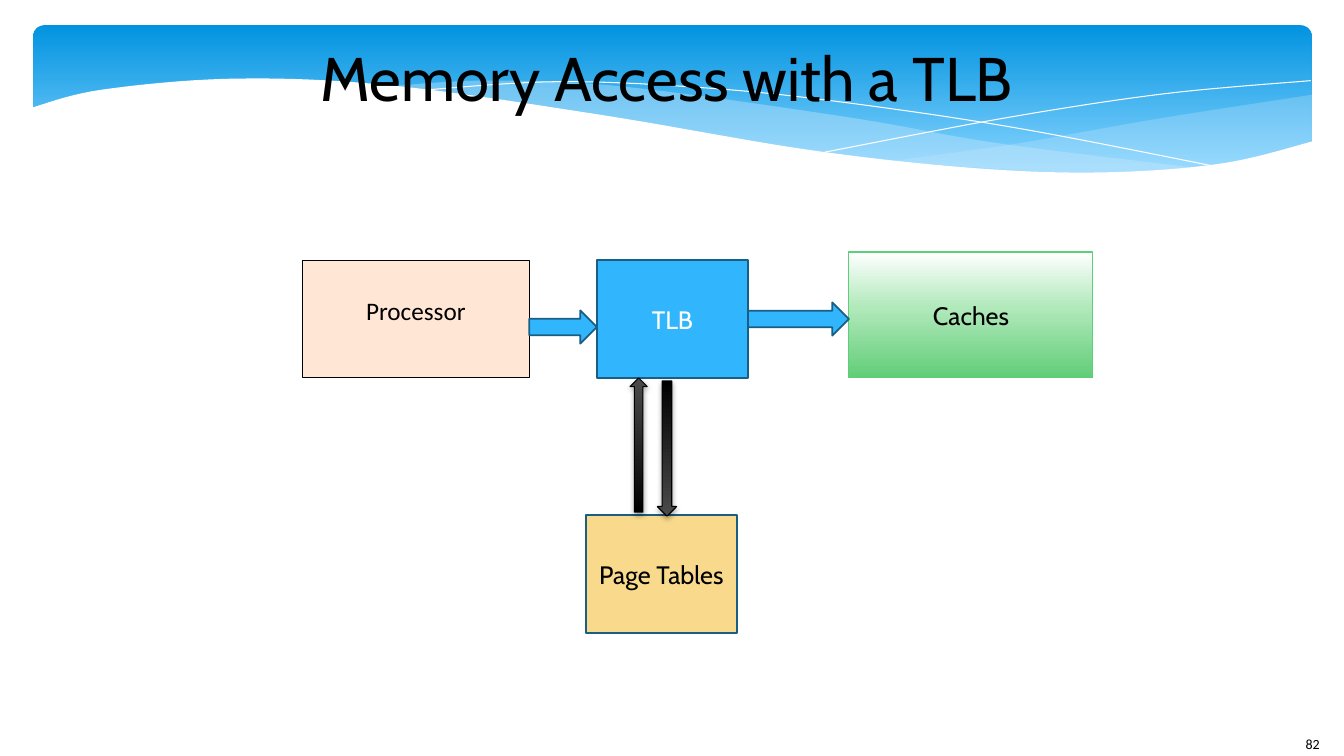
"""Build the slide that shows memory access with a TLB."""
from copy import deepcopy

from lxml.etree import SubElement
from pptx import Presentation
from pptx.dml.color import RGBColor
from pptx.enum.shapes import MSO_SHAPE as SHAPE
from pptx.enum.text import MSO_ANCHOR as ANCHOR, PP_ALIGN as ALIGN
from pptx.oxml.ns import qn
from pptx.util import Inches, Pt

BLACK = RGBColor(0x00, 0x00, 0x00)
WHITE = RGBColor(0xFF, 0xFF, 0xFF)
CHARCOAL = RGBColor(0x4B, 0x4B, 0x4B)
BANNER_BLUE = RGBColor(0x02, 0x93, 0xE0)
BANNER_SKY = RGBColor(0x83, 0xD3, 0xFE)
WAVE_PALE = RGBColor(0xC6, 0xE7, 0xFC)
BLUE = RGBColor(0x31, 0xB6, 0xFD)
NAVY = RGBColor(0x19, 0x5F, 0x84)
PEACH = RGBColor(0xFF, 0xE6, 0xD5)
SAND = RGBColor(0xF9, 0xD9, 0x8C)
MINT = RGBColor(0xB1, 0xE9, 0xBB)
GREEN = RGBColor(0x61, 0xCD, 0x78)
GREEN_EDGE = RGBColor(0x5B, 0xD0, 0x78)
STEPS_PER_SPAN = 10


def write_text(shape, text, size=18, font="Cabin", color=BLACK, align=ALIGN.CENTER,
               anchor=ANCHOR.MIDDLE, side=0.1, top=0.05):
    frame = shape.text_frame
    frame.word_wrap = True
    frame.vertical_anchor = anchor
    frame.margin_left = frame.margin_right = Inches(side)
    frame.margin_top, frame.margin_bottom = Inches(top), Inches(min(top, 0.05))
    paragraph = frame.paragraphs[0]
    paragraph.alignment = align
    run = paragraph.add_run()
    run.text = text
    run.font.size, run.font.name = Pt(size), font
    run.font.color.rgb = color


def paint(shape, colors, edge=None, width=0, positions=(0, 1)):
    shape.shadow.inherit = False
    if len(colors) == 1:
        shape.fill.solid()
        shape.fill.fore_color.rgb = colors[0]
    elif colors:
        shape.fill.gradient()
        shape.fill.gradient_angle = 270
        stop_list = next(shape._element.spPr.iter(qn("a:gsLst")))
        for _ in colors[2:]:
            stop_list.append(deepcopy(stop_list[-1]))
        for stop, color, position in zip(shape.fill.gradient_stops, colors, positions):
            stop.color.rgb, stop.position = color, position
    else:
        shape.fill.background()
    if edge is None:
        shape.line.fill.background()
    else:
        shape.line.color.rgb, shape.line.width = edge, Pt(width)


deck = Presentation()
deck.slide_width, deck.slide_height = Inches(13.33), Inches(7.5)
shapes = deck.slides.add_slide(deck.slide_layouts[6]).shapes

banner = shapes.add_shape(SHAPE.ROUNDED_RECTANGLE, Inches(0.33), Inches(0.25),
                          Inches(12.68), Inches(1.56))
banner.adjustments[0] = 0.071
paint(banner, [BANNER_BLUE, BANNER_SKY], positions=(0, 0.9))

right_wave = [
    [(8.82, 1.6), (10.05, 1.43), (11.47, 1.18), (13.01, 0.94)],
    [(13.01, 1.42), (12.18, 1.62), (10.85, 1.72), (8.82, 1.6)]]
middle_wave = [
    [(3.82, 0.86), (4.82, 0.8), (6.19, 0.86), (8.39, 1.16), (9.89, 1.42), (11.9, 1.67)],
    [(11.9, 1.67), (10.76, 1.73), (9.45, 1.66), (7.55, 1.43), (5.99, 1.16), (4.83, 0.97),
     (3.82, 0.86)]]
falling_line = [
    [(4.12, 0.9), (5.55, 0.81), (7.1, 0.88), (8.48, 1.03), (10.14, 1.28), (12.1, 1.66)]]
rising_line = [[(8.18, 1.51), (9.97, 1.17), (11.55, 0.93), (13, 0.8)]]
white_wave = [
    [(0.31, 1.07), (1.01, 0.89), (2.35, 0.78), (3.9, 0.85), (5.96, 1.14), (8.04, 1.49),
     (9.69, 1.67), (10.97, 1.71), (12.13, 1.62), (13.03, 1.4)],
    [(13.03, 2.24), (0.31, 2.24)]]

for edges, fills, opacity, line_color in [
        (right_wave, [WAVE_PALE], 29, None),
        (middle_wave, [WAVE_PALE], 40, None),
        (falling_line, [], 100, WHITE),
        (rising_line, [], 100, WHITE),
        (white_wave, [WHITE], 100, None)]:
    outline = []
    for knots in edges:
        padded = [knots[0], *knots, knots[-1]]
        for before, start, end, after in zip(padded, padded[1:], padded[2:], padded[3:]):
            for step in range(STEPS_PER_SPAN):
                t = step / STEPS_PER_SPAN
                outline.append([
                    Inches(b + ((c - a) * t + (2 * a - 5 * b + 4 * c - d) * t ** 2
                                + (3 * b - a - 3 * c + d) * t ** 3) / 2)
                    for a, b, c, d in zip(before, start, end, after)])
        outline.append([Inches(value) for value in knots[-1]])
    builder = shapes.build_freeform(*outline[0])
    builder.add_line_segments(outline[1:], close=bool(fills))
    wave = builder.convert_to_shape()
    paint(wave, fills, line_color)
    if opacity < 100:
        wave_color = next(wave._element.spPr.iter(qn("a:srgbClr")))
        SubElement(wave_color, qn("a:alpha"), val=str(opacity * 1000))

page_number = shapes.add_textbox(Inches(12.85), Inches(7.25), Inches(0.48), Inches(0.25))
write_text(page_number, "82", size=10, font="Calibri", align=ALIGN.LEFT, anchor=ANCHOR.TOP)
title = shapes.add_textbox(Inches(2.56), Inches(0.25), Inches(8.11), Inches(1.02))
write_text(title, "Memory Access with a TLB", size=44, side=0, top=0)

blocks = {}
for label, left, top, width, height, fills, stops, edge, edge_width, text_format in [
        ("Processor", 3, 2.58, 2.25, 1.17, [PEACH], (), BLACK, 0,
         dict(font="Calibri", anchor=ANCHOR.TOP, top=0.35)),
        ("TLB", 5.92, 2.58, 1.5, 1.17, [BLUE], (), NAVY, 1.25, dict(color=WHITE)),
        ("Caches", 8.42, 2.5, 2.42, 1.25, [WHITE, MINT, GREEN], (0, 0.44, 1),
         GREEN_EDGE, 0.75, {}),
        ("Page Tables", 5.81, 5.11, 1.5, 1.17, [SAND], (), NAVY, 1.25, {})]:
    block = shapes.add_shape(SHAPE.RECTANGLE, Inches(left), Inches(top),
                             Inches(width), Inches(height))
    paint(block, fills, edge, edge_width, stops)
    write_text(block, label, **text_format)
    blocks[label] = block

for sender, receiver, top in [("Processor", "TLB", 3.08), ("TLB", "Caches", 3)]:
    start = blocks[sender].left + blocks[sender].width
    request = shapes.add_shape(SHAPE.RIGHT_ARROW, start, Inches(top),
                               blocks[receiver].left - start, Inches(0.33))
    paint(request, [BLUE], NAVY, 1.25)

for direction, left, top, width, height, fills in [
        (SHAPE.UP_ARROW, 6.25, 3.75, 0.17, 1.33, [CHARCOAL, BLACK]),
        (SHAPE.DOWN_ARROW, 6.52, 3.78, 0.19, 1.34, [BLACK, CHARCOAL])]:
    lookup = shapes.add_shape(direction, Inches(left), Inches(top),
                              Inches(width), Inches(height))
    paint(lookup, fills, BLACK, 0.75)
    effects = lookup._element.spPr.find(qn("a:effectLst"))
    shadow = SubElement(effects, qn("a:outerShdw"), blurRad=str(Pt(4)), dist=str(Pt(2)),
                        dir="5400000", rotWithShape="0")
    shadow_color = SubElement(shadow, qn("a:srgbClr"), val=str(BLACK))
    SubElement(shadow_color, qn("a:alpha"), val="38000")

deck.save("out.pptx")
